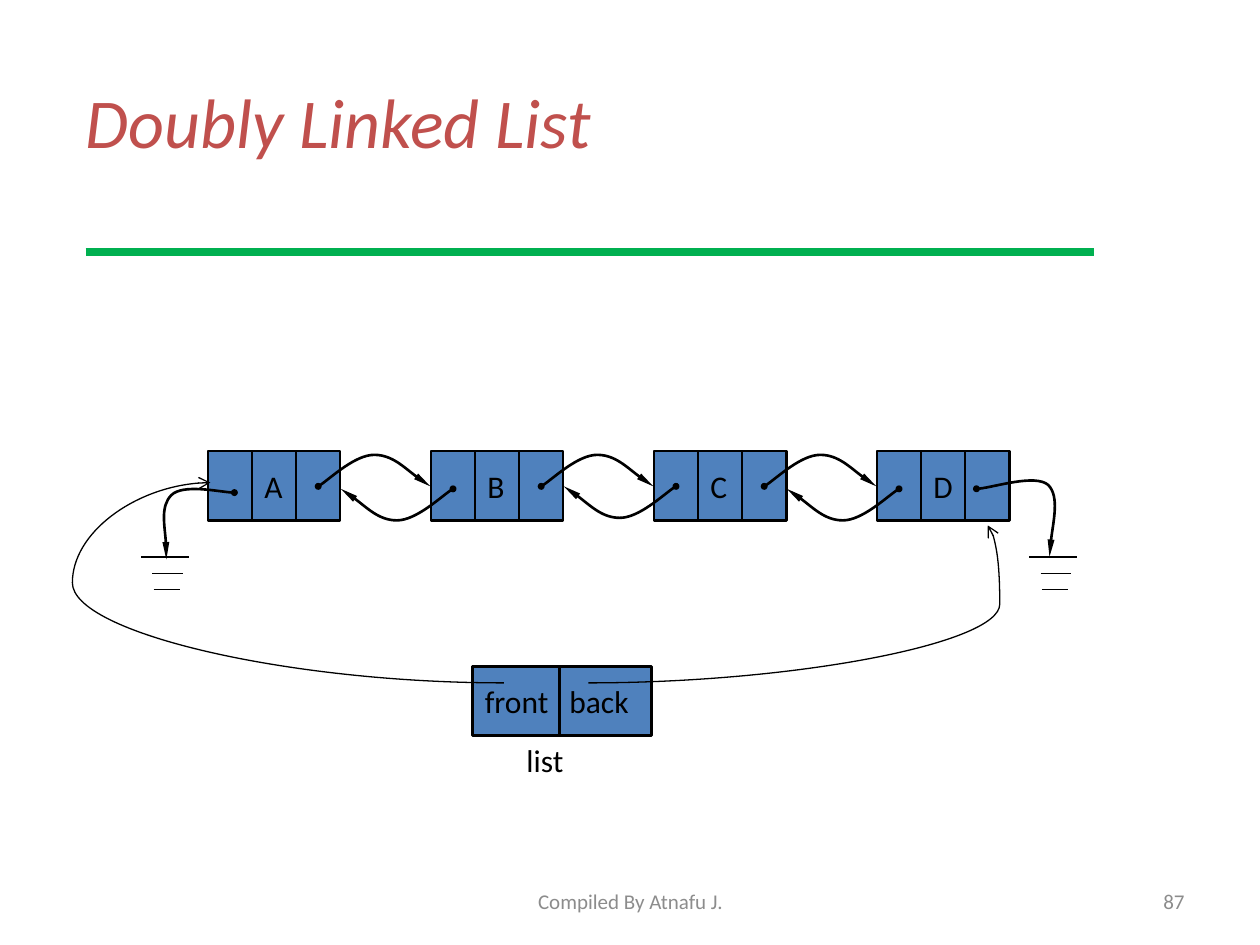
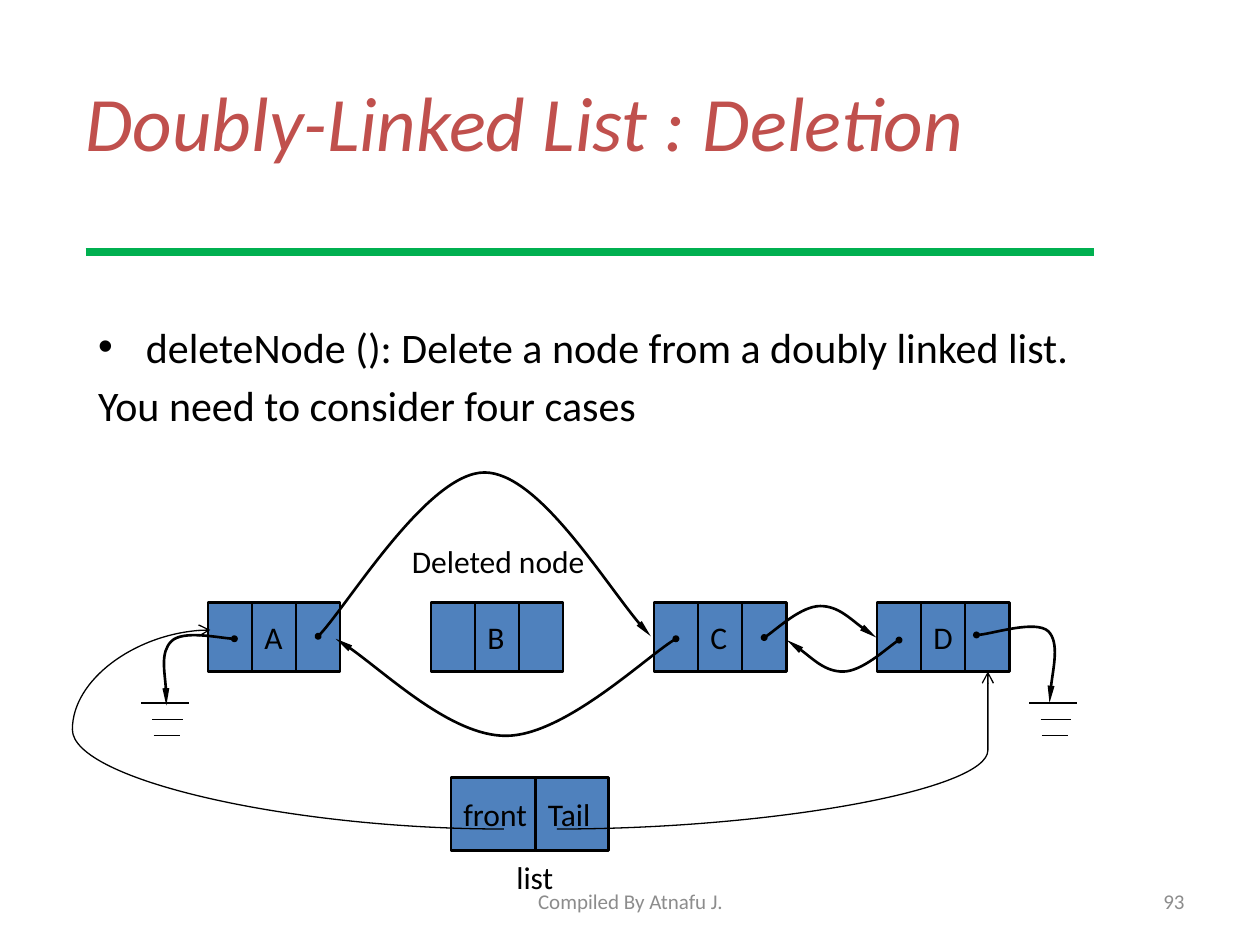
from pptx import Presentation
from pptx.dml.color import RGBColor
from pptx.enum.shapes import MSO_CONNECTOR as Conn, MSO_SHAPE as Geo
from pptx.enum.text import MSO_ANCHOR as Anchor, PP_ALIGN as Align
from pptx.oxml.ns import qn
from pptx.util import Inches, Pt
from lxml.etree import SubElement as Sub

RED = RGBColor(0xC0, 0x50, 0x4D)
GREEN = RGBColor(0x00, 0xB0, 0x50)
BLUE = RGBColor(0x4F, 0x81, 0xBD)
BLACK = RGBColor(0, 0, 0)
GRAY = RGBColor(0x8C, 0x8C, 0x8C)
FONT = "Calibri"
WIDE, HIGH = 10, 7.5

LEFT, PITCH = 1.65, 1.77
CELL, TALL = 0.35, 0.55
ARC = [(0, 0), (0.08, 0.16), (0.33, 1), (0.5, 1), (0.66, 1), (0.9, 0.2), (1, 0)]
FIRST = [(1.86, -0.51), (1.77, -0.51), (1.45, -0.58), (1.36, -0.49),
         (1.27, -0.4), (1.33, -0.09), (1.32, 0.02)]
LAST = [(7.75, -0.54), (7.85, -0.54), (8.22, -0.66), (8.32, -0.57),
        (8.41, -0.48), (8.33, -0.11), (8.33, 0)]
BARS = [(1.12, 1.5), (1.21, 1.45), (1.22, 1.43)]
FAR = 7.05


def style(par, size, color, italic=False):
    for run in par.runs:
        font = run.font
        font.name, font.size, font.italic = FONT, Pt(size), italic
        font.color.rgb = color


def label(slide, text, x, y, w, h, size=18, color=BLACK, italic=False,
          align=Align.LEFT, anchor=Anchor.TOP, wrap=True):
    box = slide.shapes.add_textbox(Inches(x), Inches(y), Inches(w), Inches(h))
    frame = box.text_frame
    frame.text = text
    frame.word_wrap = wrap
    frame.vertical_anchor = anchor
    for par in frame.paragraphs:
        par.alignment = align
        style(par, size, color, italic)
    return frame


def tip(shape, end, kind, width="med", size="med"):
    line = shape._element.spPr.find(qn("a:ln"))
    Sub(line, qn(f"a:{end}End"), type=kind, w=width, len=size)


def stroke(slide, x1, y1, x2, y2, color=BLACK, width=0.75, kind=Conn.STRAIGHT):
    line = slide.shapes.add_connector(
        kind, Inches(x1), Inches(y1), Inches(x2), Inches(y2))
    line.line.color.rgb = color
    line.line.width = Pt(width)
    Sub(line._element.spPr, qn("a:effectLst"))
    return line


def swing(slide, x1, y1, x2, y2, bend):
    line = stroke(slide, x1, y1, x2, y2, kind=Conn.CURVE)
    tip(line, "tail", "arrow")
    guides = line._element.spPr.find(qn("a:prstGeom")).find(qn("a:avLst"))
    Sub(guides, qn("a:gd"), name="adj1", fmla=f"val {round(bend * 100000)}")


def curve(slide, points):
    spots = [(Inches(x), Inches(y)) for x, y in points]
    pen = slide.shapes.build_freeform(*spots[0])
    pen.add_line_segments(spots[1:], close=False)
    shape = pen.convert_to_shape()
    steps = list(shape._element.spPr.iter(qn("a:lnTo")))
    track = steps[0].getparent()
    for i in range(0, len(steps), 3):
        bend = Sub(track, qn("a:cubicBezTo"))
        for step in steps[i:i + 3]:
            bend.append(step[0])
            track.remove(step)
    shape.fill.background()
    shape.shadow.inherit = False
    shape.line.color.rgb = BLACK
    shape.line.width = Pt(1.5)
    tip(shape, "head", "oval", "sm", "sm")
    tip(shape, "tail", "triangle", "sm", "lg")


def link(slide, x, y, run, rise):
    curve(slide, [(x + run * u, y + rise * v) for u, v in ARC])


def cell(slide, text, x, y, w=CELL, h=TALL):
    box = slide.shapes.add_shape(
        Geo.RECTANGLE, Inches(x), Inches(y), Inches(w), Inches(h))
    box.shadow.inherit = False
    box.fill.solid()
    box.fill.fore_color.rgb = BLUE
    box.line.color.rgb = BLACK
    box.line.width = Pt(1.5)
    if text:
        frame = box.text_frame
        frame.text = text
        frame.word_wrap = False
        frame.vertical_anchor = Anchor.MIDDLE
        par = frame.paragraphs[0]
        par.alignment = Align.LEFT
        style(par, 18, BLACK)


def nodes(slide, y):
    for i, name in enumerate("ABCD"):
        for j, text in enumerate(("", name, "")):
            cell(slide, text, LEFT + PITCH * i + CELL * j, y)


def fore(slide, i, y, run=0.89, rise=0.25):
    link(slide, LEFT + PITCH * i + CELL * 2.5, y, run, -rise)


def back(slide, i, y, run=0.89, rise=0.25):
    link(slide, LEFT + PITCH * i + CELL * 0.5, y, -run, rise)


def ground(slide, y):
    for wire in (LAST, FIRST):
        curve(slide, [(x, y + dy) for x, dy in wire])
    for shift in (0, FAR):
        for i, (x1, x2) in enumerate(BARS):
            stroke(slide, x1 + shift, y + 0.13 * i, x2 + shift, y + 0.13 * i)


def base(deck, title, size, number):
    slide = deck.slides.add_slide(deck.slide_layouts[6])
    label(slide, title, 0.58, 0.33, WIDE * 0.9, HIGH / 6, size, RED, True,
          anchor=Anchor.MIDDLE)
    stroke(slide, 0.68, 2, 8.68, 2, GREEN, 4.25)
    label(slide, "Compiled By Atnafu J.", 3.42, 6.95, 3.17, 0.4, 12, GRAY,
          align=Align.CENTER, anchor=Anchor.MIDDLE)
    label(slide, number, 7.17, 6.95, 2.33, 0.4, 12, GRAY,
          align=Align.RIGHT, anchor=Anchor.MIDDLE)
    return slide


def body(slide, lines):
    frame = label(slide, "\n".join(lines), 0.68, HIGH / 3, WIDE * 0.85,
                  HIGH * 0.6, 24)
    for i, par in enumerate(frame.paragraphs):
        props = par._p.get_or_add_pPr()
        props.set("marL", str(Inches(0.38)))
        props.set("indent", str(-Inches(0.38)))
        if i:
            par.space_before = Pt(4.8)
            Sub(props, qn("a:buNone"))
        else:
            Sub(props, qn("a:buFont"), typeface="Arial")
            Sub(props, qn("a:buChar"), char="•")


def whole(deck):
    slide = base(deck, "Doubly Linked List", 40, "87")
    top = 3.58
    nodes(slide, top)
    for i in range(3):
        fore(slide, i, top + 0.28)
    for i, drop in enumerate((0.3, 0.28, 0.3), 1):
        back(slide, i, top + drop)
    cell(slide, "back", 4.42, 5.29, 0.75)
    cell(slide, "front", 3.75, 5.29, 0.69)
    swing(slide, 4.67, 5.42, 7.84, 4.17, 1.03)
    swing(slide, 4, 5.42, 1.67, 3.83, 1.47)
    ground(slide, 4.42)
    label(slide, "list", 4.08, 5.83, 0.5, 0.4, wrap=False)


def cut(deck):
    slide = base(deck, "Doubly-Linked List : Deletion", 44, "93")
    body(slide, ["deleteNode (): Delete a node from a doubly linked list.",
                 "You need to consider four cases"])
    top = 4.78
    nodes(slide, top)
    fore(slide, 0, top + 0.27, 2.64, 1.3)
    fore(slide, 2, top + 0.28)
    back(slide, 2, top + 0.29, 2.7, 0.77)
    back(slide, 3, top + 0.3)
    cell(slide, "Tail", 4.25, 6.17, 0.58, 0.58)
    cell(slide, "front", 3.58, 6.17, 0.67, 0.58)
    ground(slide, 5.58)
    label(slide, "Deleted node", 3.17, 4.25, 1.58, 0.4)
    label(slide, "list", 4, 6.76, 0.5, 0.4, wrap=False)
    swing(slide, 4.42, 6.58, 7.84, 5.33, 1)
    swing(slide, 4, 6.58, 1.67, 5, 1.47)


def main():
    deck = Presentation()
    deck.slide_width, deck.slide_height = Inches(WIDE), Inches(HIGH)
    whole(deck)
    cut(deck)
    deck.save("out.pptx")


if __name__ == "__main__":
    main()
